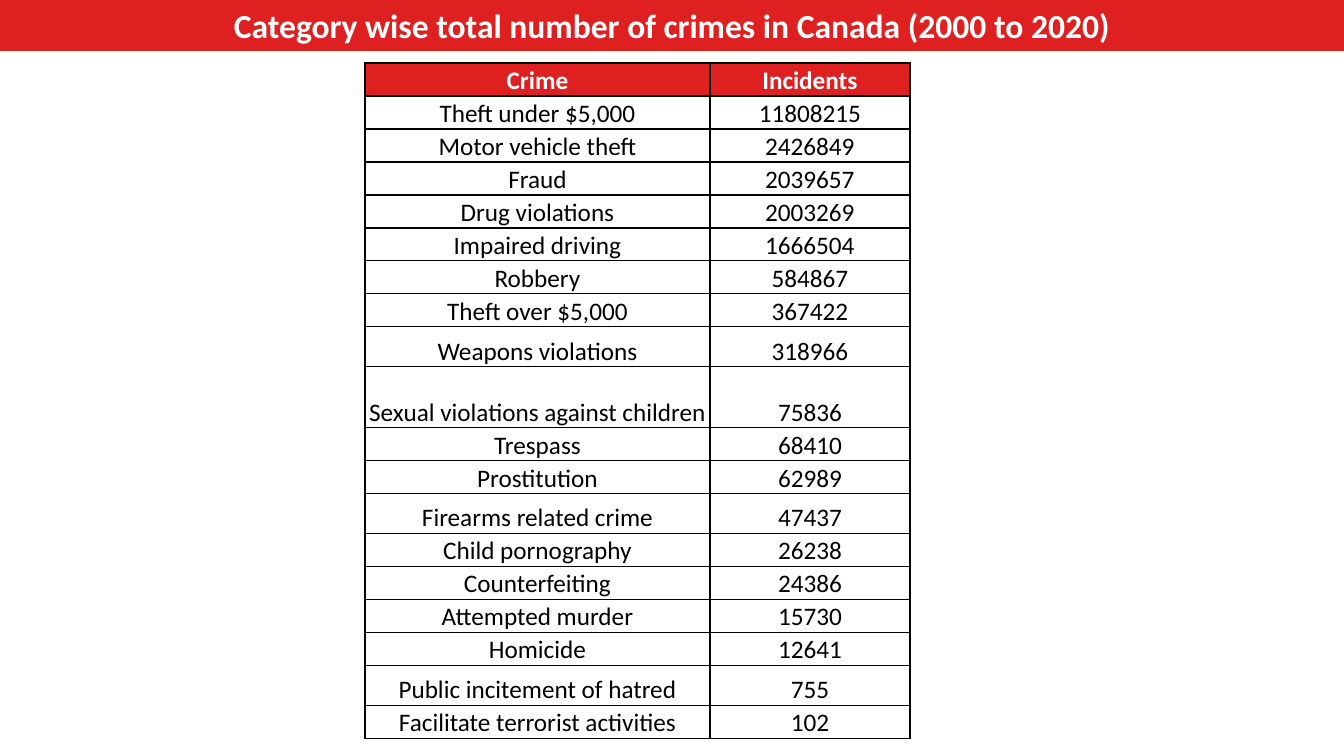
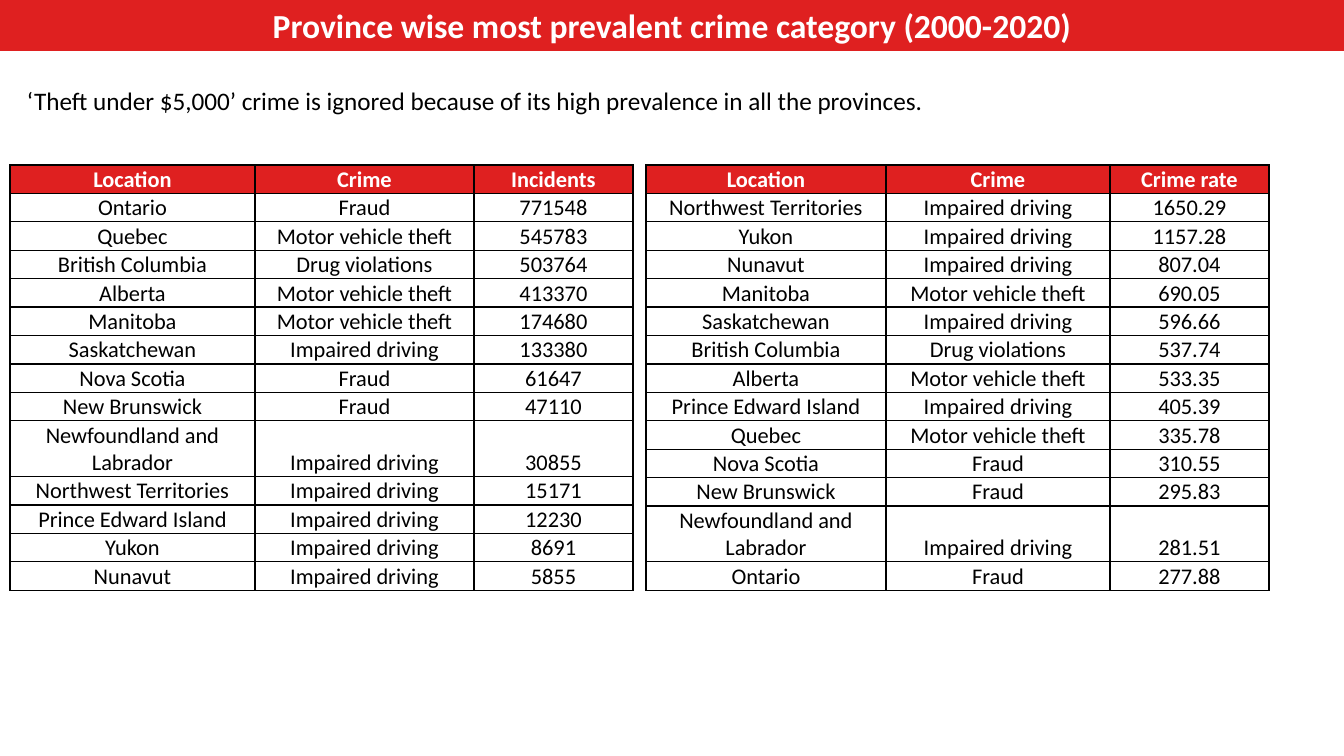
from lxml import etree
from pptx import Presentation
from pptx.dml.color import RGBColor
from pptx.enum.text import MSO_ANCHOR, MSO_AUTO_SIZE, PP_ALIGN
from pptx.oxml.ns import qn
from pptx.util import Emu, Pt

CENTER = PP_ALIGN.CENTER
MIDDLE = MSO_ANCHOR.MIDDLE
BOTTOM = MSO_ANCHOR.BOTTOM
NO_AUTOFIT = MSO_AUTO_SIZE.NONE

RED = RGBColor(0xDF, 0x20, 0x20)
WHITE = RGBColor(0xFF, 0xFF, 0xFF)
BLACK = RGBColor(0x00, 0x00, 0x00)

FONT = "Calibri"
PX_PER_INCH = 100.8
SLIDE_WIDTH, SLIDE_HEIGHT = 1344, 756
BAND_HEIGHT = 51
TITLE_ONLY_LAYOUT = 5

CRIME_TOTALS = [
    ("Crime", "Incidents"),
    ("Theft under $5,000", "11808215"),
    ("Motor vehicle theft", "2426849"),
    ("Fraud", "2039657"),
    ("Drug violations", "2003269"),
    ("Impaired driving", "1666504"),
    ("Robbery", "584867"),
    ("Theft over $5,000", "367422"),
    ("Weapons violations", "318966"),
    ("Sexual violations against children", "75836"),
    ("Trespass", "68410"),
    ("Prostitution", "62989"),
    ("Firearms related crime", "47437"),
    ("Child pornography", "26238"),
    ("Counterfeiting", "24386"),
    ("Attempted murder", "15730"),
    ("Homicide", "12641"),
    ("Public incitement of hatred", "755"),
    ("Facilitate terrorist activities", "102"),
]
TALL_CRIME_ROWS = {
    "Weapons violations": 40,
    "Sexual violations against children": 61,
    "Firearms related crime": 40,
    "Public incitement of hatred": 40,
}

PROVINCE_INCIDENTS = [
    ("Location", "Crime", "Incidents"),
    ("Ontario", "Fraud", "771548"),
    ("Quebec", "Motor vehicle theft", "545783"),
    ("British Columbia", "Drug violations", "503764"),
    ("Alberta", "Motor vehicle theft", "413370"),
    ("Manitoba", "Motor vehicle theft", "174680"),
    ("Saskatchewan", "Impaired driving", "133380"),
    ("Nova Scotia", "Fraud", "61647"),
    ("New Brunswick", "Fraud", "47110"),
    ("Newfoundland and Labrador", "Impaired driving", "30855"),
    ("Northwest Territories", "Impaired driving", "15171"),
    ("Prince Edward Island", "Impaired driving", "12230"),
    ("Yukon", "Impaired driving", "8691"),
    ("Nunavut", "Impaired driving", "5855"),
]
PROVINCE_RATES = [
    ("Location", "Crime", "Crime rate"),
    ("Northwest Territories", "Impaired driving", "1650.29"),
    ("Yukon", "Impaired driving", "1157.28"),
    ("Nunavut", "Impaired driving", "807.04"),
    ("Manitoba", "Motor vehicle theft", "690.05"),
    ("Saskatchewan", "Impaired driving", "596.66"),
    ("British Columbia", "Drug violations", "537.74"),
    ("Alberta", "Motor vehicle theft", "533.35"),
    ("Prince Edward Island", "Impaired driving", "405.39"),
    ("Quebec", "Motor vehicle theft", "335.78"),
    ("Nova Scotia", "Fraud", "310.55"),
    ("New Brunswick", "Fraud", "295.83"),
    ("Newfoundland and Labrador", "Impaired driving", "281.51"),
    ("Ontario", "Fraud", "277.88"),
]
TALL_PROVINCE_ROWS = {"Newfoundland and Labrador": 55}


def px(length):
    """Turn px into EMU."""
    return Emu(round(length * 914400 / PX_PER_INCH))


def write_text(text_frame, text, size, color, bold=False):
    """Set one centred paragraph of text in the shared font."""
    text_frame.text = text
    paragraph = text_frame.paragraphs[0]
    paragraph.alignment = CENTER
    font = paragraph.runs[0].font
    font.name = FONT
    font.size = Pt(size)
    font.bold = bold
    font.color.rgb = color


def add_titled_slide(presentation, title_text):
    """Add a slide whose title is a red band across the top."""
    slide = presentation.slides.add_slide(presentation.slide_layouts[TITLE_ONLY_LAYOUT])
    title = slide.shapes.title
    title.left, title.top = px(0), px(0)
    title.width, title.height = px(SLIDE_WIDTH), px(BAND_HEIGHT)
    title.fill.solid()
    title.fill.fore_color.rgb = RED
    write_text(title.text_frame, title_text, 24, WHITE, bold=True)
    title.text_frame.auto_size = NO_AUTOFIT
    title.text_frame.vertical_anchor = MIDDLE
    return slide


def add_cell_borders(cell):
    """Draw a thin black line on all four sides of a cell."""
    properties = cell._tc.get_or_add_tcPr()
    for side in ("a:lnL", "a:lnR", "a:lnT", "a:lnB"):
        line = etree.SubElement(properties, qn(side), w=str(Pt(1)))
        fill = etree.SubElement(line, qn("a:solidFill"))
        etree.SubElement(fill, qn("a:srgbClr"), val=str(BLACK))


def format_cell(cell, text, size, is_header):
    """Write and style one table cell."""
    cell.margin_left = cell.margin_right = cell.margin_top = px(1)
    cell.margin_bottom = px(0)
    cell.vertical_anchor = BOTTOM
    add_cell_borders(cell)
    if is_header:
        cell.fill.solid()
        cell.fill.fore_color.rgb = RED
    else:
        cell.fill.background()
    write_text(cell.text_frame, text, size, WHITE if is_header else BLACK, is_header)


def add_data_table(slide, left, top, column_widths, rows, size, row_height, tall_rows):
    """Add a bordered table with a red header row."""
    heights = [tall_rows.get(row[0], row_height) for row in rows]
    frame = slide.shapes.add_table(
        len(rows), len(column_widths), px(left), px(top),
        px(sum(column_widths)), px(sum(heights)))
    table = frame.table
    table.horz_banding = False
    for column, width in zip(table.columns, column_widths):
        column.width = px(width)
    for row_index, (values, height) in enumerate(zip(rows, heights)):
        table.rows[row_index].height = px(height)
        for column_index, value in enumerate(values):
            format_cell(table.cell(row_index, column_index), value, size, row_index == 0)


def add_note(slide, left, top, width, height, text):
    """Add a single unwrapped line of explanation."""
    note = slide.shapes.add_textbox(px(left), px(top), px(width), px(height))
    note.text_frame.word_wrap = False
    write_text(note.text_frame, text, 18, BLACK)


def build_category_slide(presentation):
    """Build the slide of totals by crime category."""
    slide = add_titled_slide(
        presentation, "Category wise total number of crimes in Canada (2000 to 2020)")
    add_data_table(slide, 365, 63, (345, 200), CRIME_TOTALS, 18, 33, TALL_CRIME_ROWS)


def build_province_slide(presentation):
    """Build the slide of leading crimes by province."""
    slide = add_titled_slide(
        presentation, "Province wise most prevalent crime category (2000-2020)")
    tables = (
        (10, (245, 219, 159), PROVINCE_INCIDENTS),
        (646, (240, 224, 159), PROVINCE_RATES),
    )
    for left, column_widths, rows in tables:
        add_data_table(slide, left, 165, column_widths, rows, 16, 28, TALL_PROVINCE_ROWS)
    add_note(
        slide, 14, 80, 922, 40,
        "‘Theft under $5,000’ crime is ignored because of its high prevalence "
        "in all the provinces.")


def main():
    """Build and save the presentation."""
    presentation = Presentation()
    presentation.slide_width = px(SLIDE_WIDTH)
    presentation.slide_height = px(SLIDE_HEIGHT)
    build_category_slide(presentation)
    build_province_slide(presentation)
    presentation.save("out.pptx")


if __name__ == "__main__":
    main()
